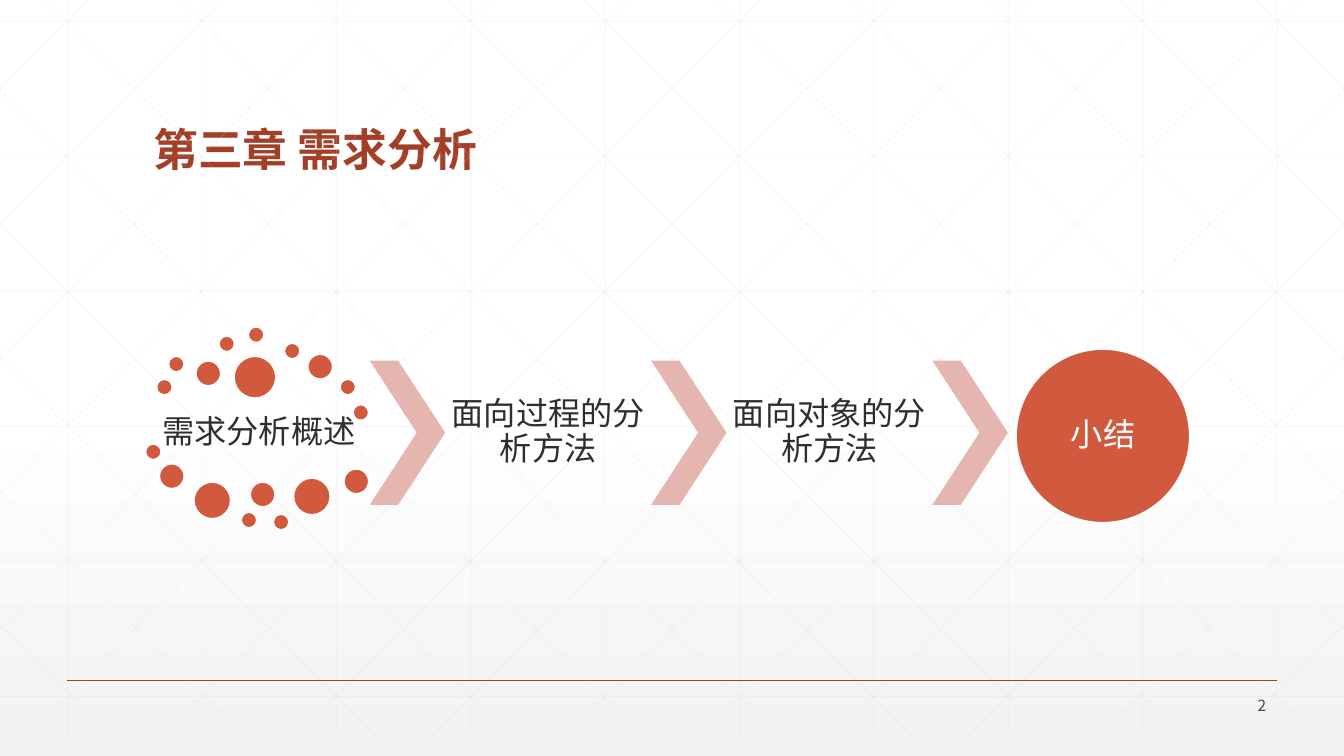
from lxml.etree import SubElement
from pptx import Presentation
from pptx.dml.color import RGBColor
from pptx.enum.shapes import MSO_CONNECTOR as Link, MSO_SHAPE as Form
from pptx.enum.text import MSO_ANCHOR as Anchor, PP_ALIGN as Align
from pptx.oxml.ns import qn
from pptx.util import Cm, Pt

COLORS = {
    "white": "FFFFFF", "mist": "F2F2F2", "grid": "D9D9D9", "brick": "A43F27",
    "coral": "D15A3E", "blush": "E5B5AF", "ink": "2D2E2D", "gray": "424342",
}
CJK = "Noto Sans CJK SC"
WIDTH, HEIGHT = 33.87, 19.05
GRID_TOP, GRID_BOTTOM = -0.53, 18.52
COLUMN_GAP, ROW_GAP = 3.387, 3.404
SLANT_RUN = 18.94
SMALL, MEDIUM, LARGE, HUGE = 0.41, 0.64, 0.94, 1.07
DOTS = [
    (3.94, 9.55, SMALL), (4.24, 8.97, SMALL), (4.93, 9.09, MEDIUM),
    (5.51, 8.46, SMALL), (6.25, 8.23, SMALL), (7.16, 8.64, SMALL),
    (7.75, 8.92, MEDIUM), (8.56, 9.55, SMALL), (8.89, 10.19, SMALL),
    (5.89, 8.97, HUGE), (3.66, 11.18, SMALL), (4.01, 11.68, MEDIUM),
    (4.88, 12.14, LARGE), (6.07, 12.9, SMALL), (6.3, 12.14, MEDIUM),
    (6.88, 12.95, SMALL), (7.39, 12.04, LARGE), (8.66, 11.81, MEDIUM),
]
STEP_GAP, STEP_TOP, STEP_HEIGHT = 7.09, 9.09, 3.63
METHODS = ["面向过程的分析方法", "面向对象的分析方法"]


def color(name):
    return RGBColor.from_string(COLORS[name])


def write(frame, text, size=23, font="Arial", ink="ink", bold=False,
          align=Align.CENTER, anchor=Anchor.MIDDLE, spacing=0.9, inset=None):
    frame.word_wrap = True
    frame.vertical_anchor = anchor
    if inset is not None:
        frame.margin_left = frame.margin_right = Cm(inset)
        frame.margin_top = frame.margin_bottom = Cm(inset)
    para = frame.paragraphs[0]
    para.alignment = align
    para.line_spacing = spacing
    span = para.add_run()
    span.text = text
    span.font.size = Pt(size)
    span.font.bold = bold
    span.font.color.rgb = color(ink)
    span.font.name = font
    SubElement(span.font._element, qn("a:ea"), typeface=CJK)


class Page:
    def __init__(self, deck):
        self.slide = deck.slides.add_slide(deck.slide_layouts[5])
        self.shapes = self.slide.shapes

    def background(self, stops):
        fill = self.slide.background.fill
        fill.gradient()
        fill.gradient_angle = 270
        stop_list = fill._fill._gradFill.find(qn("a:gsLst"))
        for stop in list(stop_list):
            stop_list.remove(stop)
        for position, name, opacity in stops:
            stop = SubElement(stop_list, qn("a:gs"), pos=str(position * 1000))
            shade = SubElement(stop, qn("a:srgbClr"), val=COLORS[name])
            if opacity < 100:
                SubElement(shade, qn("a:alpha"), val=str(opacity * 1000))

    def line(self, start, end, name="grid", width=0.5, opacity=25):
        points = [Cm(value) for value in (*start, *end)]
        line = self.shapes.add_connector(Link.STRAIGHT, *points)
        line.line.color.rgb = color(name)
        line.line.width = Pt(width)
        properties = line._element.spPr
        if opacity < 100:
            shade = properties.find(".//" + qn("a:srgbClr"))
            SubElement(shade, qn("a:alpha"), val=str(opacity * 1000))
        SubElement(properties, qn("a:effectLst"))

    def shape(self, form, left, top, width, height, fill, outline=None):
        shape = self.shapes.add_shape(form, Cm(left), Cm(top), Cm(width), Cm(height))
        shape.shadow.inherit = False
        shape.fill.solid()
        shape.fill.fore_color.rgb = color(fill)
        if outline:
            shape.line.color.rgb = color(outline)
            shape.line.width = Pt(1.5)
        else:
            shape.line.fill.background()
        return shape

    def circle(self, left, top, size):
        self.shape(Form.OVAL, left, top, size, size, "coral", "white")

    def chevron(self, left):
        arrow = self.shape(Form.CHEVRON, left, STEP_TOP, 1.9, STEP_HEIGHT, "blush")
        arrow.adjustments[0] = 0.623

    def text(self, text, left, top, width, height, **style):
        box = self.shapes.add_textbox(Cm(left), Cm(top), Cm(width), Cm(height))
        write(box.text_frame, text, **style)

    def title(self, text, left, top, width, height, **style):
        box = self.shapes.title
        box.left, box.top, box.width, box.height = map(Cm, (left, top, width, height))
        write(box.text_frame, text, **style)

    def mirrored_line(self, start, end):
        self.line(start, end)
        self.line((WIDTH - start[0], start[1]), (WIDTH - end[0], end[1]))

    def grid(self):
        for column in range(10):
            x = 1.7 + column * COLUMN_GAP
            self.line((x, GRID_TOP), (x, GRID_BOTTOM))
        for row in range(6):
            y = 0.53 + row * ROW_GAP
            self.line((0, y), (WIDTH, y))
        for column in range(10):
            x = 0.64 + column * COLUMN_GAP
            run = min(SLANT_RUN, WIDTH - x)
            drop = run * (GRID_BOTTOM - GRID_TOP) / SLANT_RUN
            self.mirrored_line((x, GRID_TOP), (x + run, GRID_TOP + drop))
        for row in range(5):
            self.mirrored_line((16.18 - row * 3.36, GRID_BOTTOM), (0, 2.26 + row * 3.37))


def main():
    deck = Presentation()
    deck.slide_width, deck.slide_height = Cm(WIDTH), Cm(HEIGHT)
    page = Page(deck)
    page.background([(0, "white", 100), (53, "white", 100), (100, "mist", 65)])
    page.grid()
    page.line((1.7, 17.15), (32.17, 17.15), name="brick", width=1, opacity=100)
    page.title("第三章 需求分析", 3.61, 1.4, 26.67, 3.18, size=32, font=CJK,
               ink="brick", bold=True, align=Align.LEFT, anchor=Anchor.BOTTOM)

    page.text("需求分析概述", 3.94, 10.06, 5.18, 1.7, inset=0.08)
    for dot in DOTS:
        page.circle(*dot)
    for step in range(3):
        page.chevron(9.32 + step * STEP_GAP)
    for step, method in enumerate(METHODS):
        page.text(method, 11.23 + step * STEP_GAP, STEP_TOP, 5.18, STEP_HEIGHT, inset=0.08)
    page.circle(25.6, 8.79, 4.39)
    page.text("小结", 26.24, 9.42, 3.12, 3.12, ink="white", inset=0)

    page.text("2", 29.62, 17.48, 2.54, 0.61, size=11, font=CJK, ink="gray",
              align=Align.RIGHT, spacing=1.0)
    deck.save("out.pptx")


if __name__ == "__main__":
    main()
